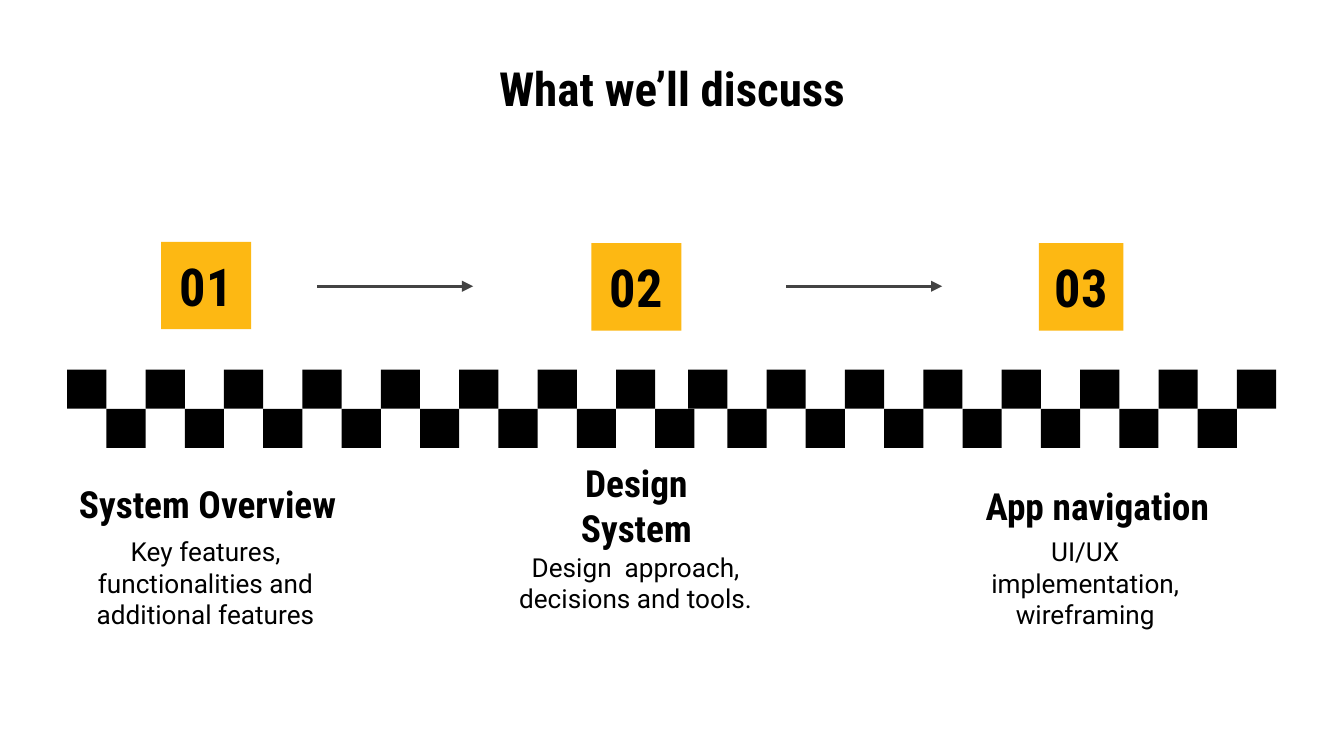
from dataclasses import dataclass

from lxml import etree
from pptx import Presentation
from pptx.dml.color import RGBColor
from pptx.enum import shapes, text
from pptx.oxml import ns
from pptx.util import Inches, Pt


@dataclass(frozen=True)
class Theme:
    black: RGBColor = RGBColor(0x00, 0x00, 0x00)
    accent: RGBColor = RGBColor(0xFD, 0xB8, 0x13)
    arrow: RGBColor = RGBColor(0x43, 0x43, 0x43)
    heading_font: str = "Roboto Condensed"
    body_font: str = "Roboto"
    title_size: float = 25.2
    number_size: float = 28
    heading_size: float = 20
    body_size: float = 14


THEME = Theme()
TILE = 7 / 24
CHECKER_TOP = 2.75
CHECKER_RUNS = [(0.5, 16), (5.12, 15)]  # left edge, number of tiles
ARROW_LEFTS = [2.36, 5.85]
ARROW_LENGTH = 1.16
ARROW_Y = 2.13

# Each box is left, top, width, height
TOPICS = [
    ("01", (1.2, 1.8, 0.67, 0.65),
     "System Overview", (0.43, 3.57, 2.23, 0.36),
     "Key features, functionalities and additional features", (0.46, 3.95, 2.14, 0.77)),
    ("02", (4.4, 1.81, 0.67, 0.65),
     "Design System", (3.83, 3.58, 1.81, 0.36),
     "Design  approach, decisions and tools.", (3.73, 3.95, 2, 0.77)),
    ("03", (7.73, 1.81, 0.63, 0.65),
     "App navigation", (7.05, 3.58, 2.23, 0.36),
     "UI/UX implementation, wireframing", (7.24, 3.95, 1.67, 0.77)),
]


def inches(box):
    return [Inches(value) for value in box]


def write(shape, words, size, font=THEME.heading_font, bold=True):
    """Fill a shape with one centred paragraph."""
    frame = shape.text_frame
    frame.text = words
    frame.word_wrap = True
    frame.auto_size = text.MSO_AUTO_SIZE.NONE
    frame.vertical_anchor = text.MSO_ANCHOR.MIDDLE
    frame.margin_left = frame.margin_right = Inches(0.1)
    frame.margin_top = frame.margin_bottom = Inches(0.1)
    paragraph = frame.paragraphs[0]
    paragraph.alignment = text.PP_ALIGN.CENTER
    paragraph.font.name = font
    paragraph.font.size = Pt(size)
    paragraph.font.bold = bold
    paragraph.font.color.rgb = THEME.black


def add_title(slide, words):
    title = slide.shapes.title
    title.left, title.top, title.width, title.height = inches((0.5, 0.45, 9, 0.41))
    write(title, words, THEME.title_size)


def add_square(group, box, color):
    square = group.shapes.add_shape(shapes.MSO_SHAPE.RECTANGLE, *inches(box))
    square.shadow.inherit = False
    square.fill.solid()
    square.fill.fore_color.rgb = color
    square.line.fill.background()
    return square


def add_checkerboard(slide):
    group = slide.shapes.add_group_shape()
    for left, count in CHECKER_RUNS:
        for index in range(count):
            top = CHECKER_TOP + index % 2 * TILE
            add_square(group, (left + index * TILE, top, TILE, TILE), THEME.black)


def add_topic(slide, number, number_box, heading, heading_box, body, body_box):
    group = slide.shapes.add_group_shape()
    write(group.shapes.add_textbox(*inches(heading_box)), heading, THEME.heading_size)
    write(group.shapes.add_textbox(*inches(body_box)), body, THEME.body_size,
          THEME.body_font, bold=False)
    write(add_square(group, number_box, THEME.accent), number, THEME.number_size)


def add_arrow(group, left):
    arrow = group.shapes.add_connector(
        shapes.MSO_CONNECTOR.STRAIGHT,
        *inches((left, ARROW_Y, left + ARROW_LENGTH, ARROW_Y)))
    arrow.line.color.rgb = THEME.arrow
    arrow.line.width = Pt(1.5)
    properties = arrow.element.spPr
    line = properties.find(ns.qn("a:ln"))
    etree.SubElement(line, ns.qn("a:tailEnd"), type="triangle")
    etree.SubElement(properties, ns.qn("a:effectLst"))


def main():
    presentation = Presentation()
    presentation.slide_width = Inches(10)
    presentation.slide_height = Inches(10 * 9 / 16)
    title_only = presentation.slide_layouts[5]
    slide = presentation.slides.add_slide(title_only)

    add_title(slide, "What we’ll discuss")
    add_checkerboard(slide)
    for topic in TOPICS:
        add_topic(slide, *topic)
    arrows = slide.shapes.add_group_shape()
    for left in ARROW_LEFTS:
        add_arrow(arrows, left)

    presentation.save("out.pptx")


if __name__ == "__main__":
    main()
